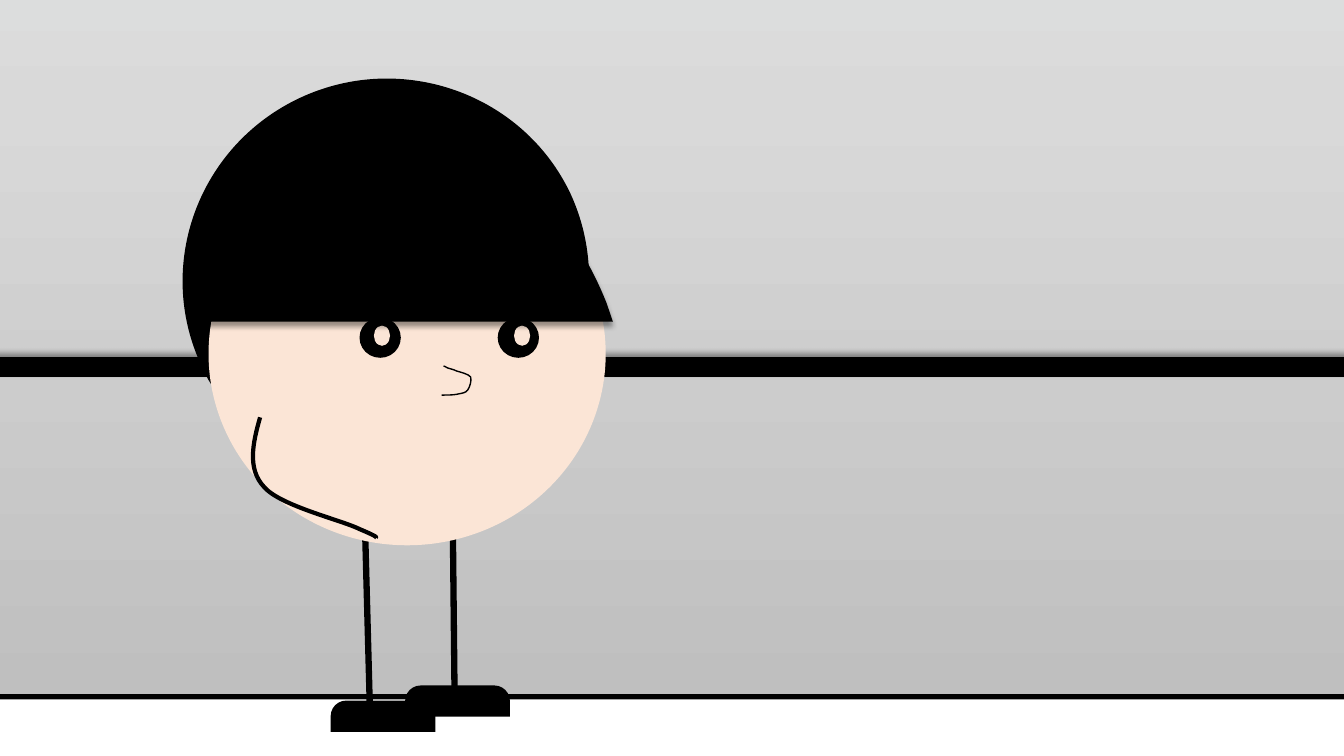
from copy import deepcopy
from math import cos, radians, sin

from lxml import etree
from pptx import Presentation
from pptx.dml.color import RGBColor
from pptx.enum.shapes import MSO_CONNECTOR, MSO_SHAPE
from pptx.oxml.ns import qn
from pptx.util import Pt

RECT = MSO_SHAPE.RECTANGLE
OVAL = MSO_SHAPE.OVAL
FLOOR = MSO_SHAPE.FLOWCHART_MANUAL_OPERATION
SHOE = MSO_SHAPE.ROUND_2_SAME_RECTANGLE
STRAIGHT = MSO_CONNECTOR.STRAIGHT

BLACK = RGBColor(0x00, 0x00, 0x00)
WHITE = RGBColor(0xFF, 0xFF, 0xFF)
SKIN = RGBColor(0xFB, 0xE5, 0xD6)
WALL_STOPS = [
    (0, RGBColor(0xF6, 0xF8, 0xFC)),
    (0.51, RGBColor(0xD9, 0xD9, 0xD9)),
    (1, RGBColor(0xBF, 0xBF, 0xBF)),
]
PATH_TAGS = {1: "a:lnTo", 3: "a:cubicBezTo"}


def style(sp, fill=None, width=0, shadow_angle=None):
    if fill is not None:
        sp.fill.solid()
        sp.fill.fore_color.rgb = fill
    if width:
        sp.line.color.rgb = BLACK
        sp.line.width = Pt(width)
    else:
        sp.line.fill.background()
    effects = etree.SubElement(sp._element.spPr, qn("a:effectLst"))
    if shadow_angle is not None:
        shadow = etree.SubElement(
            effects, qn("a:outerShdw"), blurRad=str(Pt(4)), dist=str(Pt(3)),
            dir=str(shadow_angle * 60000), algn="ctr", rotWithShape="0")
        color = etree.SubElement(shadow, qn("a:srgbClr"), val=str(BLACK))
        etree.SubElement(color, qn("a:alpha"), val="40000")


def add_curve(shapes, box, rotation, start, segments, close):
    left, top, width, height = box
    right, bottom = left + width, top + height
    builder = shapes.build_freeform(Pt(left), Pt(top))
    corners = [(right, top), (right, bottom), (left, bottom)]
    builder.add_line_segments([(Pt(x), Pt(y)) for x, y in corners], close=close)
    sp = builder.convert_to_shape()
    sp.rotation = rotation
    outline = sp._element.xpath(".//a:path")[0]
    for child in list(outline):
        outline.remove(child)
    turn = radians(-rotation)
    steps = [("a:moveTo", start)]
    steps += [(PATH_TAGS[len(segment) // 2], segment) for segment in segments]
    for tag, values in steps:
        step = etree.SubElement(outline, qn(tag))
        for x, y in zip(values[::2], values[1::2]):
            dx, dy = x - left - width / 2, y - top - height / 2
            local_x = width / 2 + dx * cos(turn) - dy * sin(turn)
            local_y = height / 2 + dx * sin(turn) + dy * cos(turn)
            etree.SubElement(step, qn("a:pt"), x=str(int(Pt(local_x))), y=str(int(Pt(local_y))))
    if close:
        etree.SubElement(outline, qn("a:close"))
    return sp


prs = Presentation()
prs.slide_width = Pt(960)
prs.slide_height = Pt(540)
s = prs.slides.add_slide(prs.slide_layouts[6])

room = s.shapes.add_group_shape().shapes
wall = room.add_shape(RECT, Pt(-67), Pt(-373), Pt(1092.2), Pt(872))
wall.fill.gradient()
wall.fill.gradient_angle = 270
stop_list = wall._element.xpath(".//a:gsLst")[0]
stop_list.append(deepcopy(stop_list[0]))
for stop, (position, color) in zip(wall.fill.gradient_stops, WALL_STOPS):
    stop.position = position
    stop.color.rgb = color
style(wall, width=6)

rail = room.add_connector(STRAIGHT, Pt(-67), Pt(262), Pt(1025.2), Pt(262))
style(rail, width=14, shadow_angle=270)

floor = room.add_shape(FLOOR, Pt(-420.5), Pt(499), Pt(1800), Pt(70.5))
floor._element.spPr.xfrm.set("flipV", "1")
style(floor, WHITE, 1)

figure = s.shapes.add_group_shape().shapes
hair = add_curve(figure, (123.1, 57.6, 290.9, 252.7), 334.9, (214.6, 69.8), [
    (141.8, 103.7, 110.2, 189.4, 144, 261.4),
    (146.2, 266.4, 148.3, 270.7, 151.2, 275),
    (151.9, 275.8),
    (152.6, 272.2),
    (167, 243.4, 190.8, 218.2, 222.5, 203.8),
    (286.6, 173.5, 360, 193.7, 400.3, 247),
    (407.5, 258.5),
    (411.8, 249.1),
    (424.8, 213.8, 424.1, 174.2, 407.5, 138.2),
    (373.7, 67, 287.3, 36, 214.6, 69.8),
], True)
style(hair, BLACK)

for x1, y1, x2, y2 in [(323.3, 360, 324.7, 495.4), (260.6, 371.5, 264.2, 506.2)]:
    leg = figure.add_connector(STRAIGHT, Pt(x1), Pt(y1), Pt(x2), Pt(y2))
    style(leg, width=4.5)

for left, top in [(236.2, 500.4), (289.4, 489.6)]:
    shoe = figure.add_shape(SHOE, Pt(left), Pt(top), Pt(74.9), Pt(22.3))
    shoe.adjustments[0] = 0.5
    shoe.adjustments[1] = 0
    style(shoe, BLACK)

for left, top, width, height, color in [
    (149, 115.9, 283.7, 273.6, SKIN),
    (355.5, 226.8, 29.5, 28.8, BLACK),
    (256.8, 226.8, 29.5, 28.8, BLACK),
    (367.2, 232.6, 11.5, 14.4, SKIN),
    (267.1, 232.6, 11.5, 14.4, SKIN),
]:
    oval = figure.add_shape(OVAL, Pt(left), Pt(top), Pt(width), Pt(height))
    style(oval, color)

arm = add_curve(figure, (185, 290.9, 72.7, 103), 345.8, (185.8, 298.1), [
    (180.7, 316.1, 176.4, 334.8, 188.6, 347.8),
    (200.2, 361.4, 244.1, 371.5, 257, 378),
    (270.7, 383.8, 268.6, 383.8, 268.6, 383.8),
    (268.9, 384),
], False)
nose = add_curve(figure, (315.4, 261.4, 20.9, 21), 0, (316.8, 261.4), [
    (317.5, 261.4, 318.2, 262.1, 319.7, 262.8),
    (321.1, 263.5, 323.3, 263.5, 326.2, 265),
    (328.3, 265.7, 334.8, 267.1, 336.2, 269.3),
    (337, 272.2, 335.5, 276.5, 334.1, 278.6),
    (332.6, 280.8, 329.8, 280.8, 326.9, 281.5),
    (324, 282.2, 319.7, 282.2, 315.4, 282.2),
], False)
for stroke, width in [(arm, 3), (nose, 1)]:
    stroke.fill.background()
    style(stroke, width=width)

fringe = add_curve(figure, (146.9, 100.8, 290.9, 128.9), 0, (292.3, 100.8), [
    (352.8, 100.8, 406.1, 147.6, 433.4, 216.7),
    (437.8, 229.7),
    (146.9, 229.7),
    (151.2, 216.7),
    (178.6, 147.6, 231.1, 100.8, 292.3, 100.8),
], True)
style(fringe, BLACK, shadow_angle=90)

prs.save("out.pptx")
